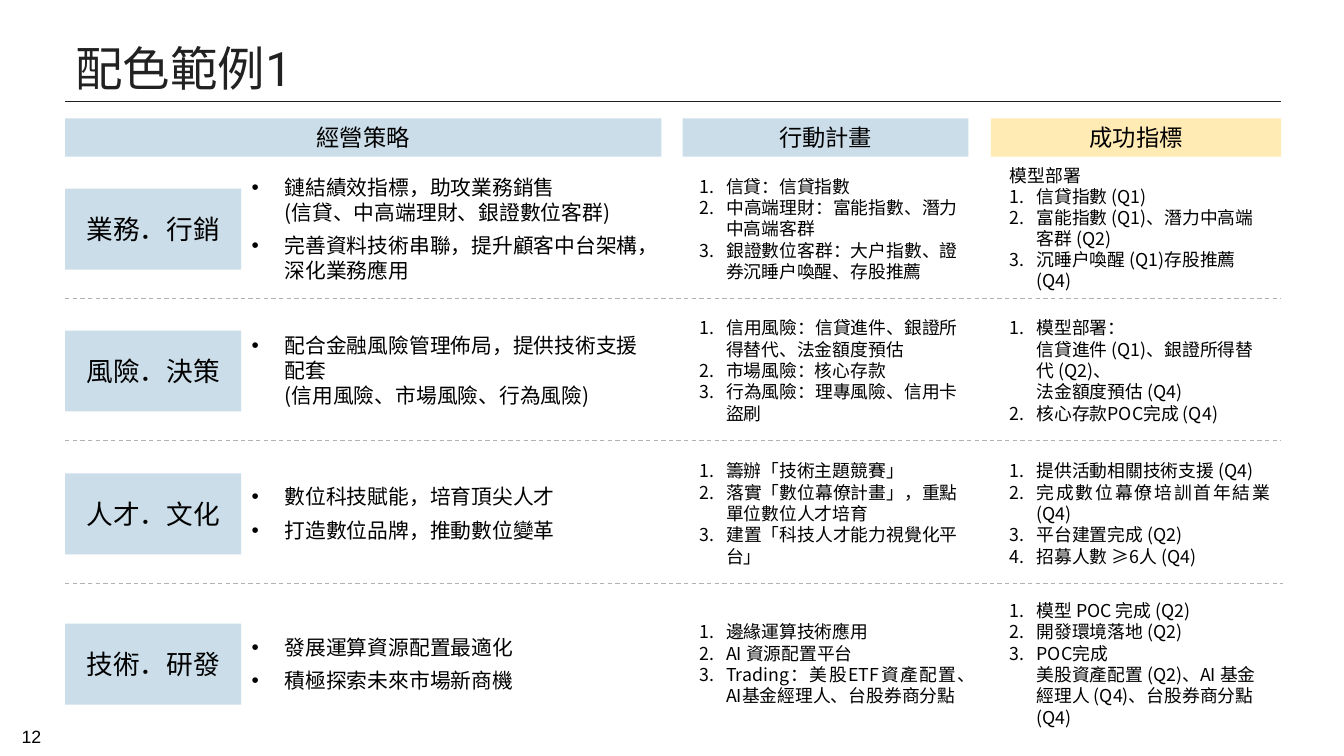
from copy import deepcopy

from lxml import etree
from pptx import Presentation
from pptx.dml.color import RGBColor
from pptx.enum.dml import MSO_LINE
from pptx.enum.shapes import MSO_CONNECTOR, MSO_SHAPE
from pptx.enum.text import MSO_ANCHOR, PP_ALIGN
from pptx.oxml.ns import qn
from pptx.util import Emu, Pt

LEFT, CENTER, JUSTIFY = PP_ALIGN.LEFT, PP_ALIGN.CENTER, PP_ALIGN.JUSTIFY
MIDDLE, BOTTOM = MSO_ANCHOR.MIDDLE, MSO_ANCHOR.BOTTOM
RECT, STRAIGHT, DASH = MSO_SHAPE.RECTANGLE, MSO_CONNECTOR.STRAIGHT, MSO_LINE.DASH

PX = 9144
BLUE, YELLOW, GREY, BLACK, INK = "CBDDE9", "FFEBB3", "B2B2B2", "000000", "212121"
CJK = "Noto Sans CJK TC"
PAGE = "12"
TITLE = "配色範例1"
HEADERS = [
    ("經營策略", 61, 559, BLUE),
    ("行動計畫", 640, 268, BLUE),
    ("成功指標", 929, 272, YELLOW),
]
ROWS = [
    {
        "topic": "業務．行銷", "top": 177,
        "strategies": ["鏈結績效指標，助攻業務銷售\n(信貸、中高端理財、銀證數位客群)",
                       "完善資料技術串聯，提升顧客中台架構，深化業務應用"],
        "actions": ["信貸：信貸指數", "中高端理財：富能指數、潛力中高端客群",
                    "銀證數位客群：大戶指數、證券沉睡戶喚醒、存股推薦"],
        "lead": ["模型部署"],
        "metrics": ["信貸指數 (Q1)", "富能指數 (Q1)、潛力中高端客群 (Q2)",
                    "沉睡戶喚醒 (Q1)存股推薦 (Q4)"],
        "metric_format": {"line_spacing": 0.98},
    },
    {
        "topic": "風險．決策", "top": 310,
        "strategies": ["配合金融風險管理佈局，提供技術支援配套\n(信用風險、市場風險、行為風險)"],
        "actions": ["信用風險：信貸進件、銀證所得替代、法金額度預估",
                    "市場風險：核心存款", "行為風險：理專風險、信用卡盜刷"],
        "metrics": ["模型部署：\n信貸進件 (Q1)、銀證所得替代 (Q2)、\n法金額度預估 (Q4)",
                    "核心存款POC完成 (Q4)"],
    },
    {
        "topic": "人才．文化", "top": 444,
        "strategies": ["數位科技賦能，培育頂尖人才", "打造數位品牌，推動數位變革"],
        "actions": ["籌辦「技術主題競賽」", "落實「數位幕僚計畫」，重點單位數位人才培育",
                    "建置「科技人才能力視覺化平台」"],
        "metrics": ["提供活動相關技術支援 (Q4)", "完成數位幕僚培訓首年結業 (Q4)",
                    "平台建置完成 (Q2)", "招募人數 ≥6人 (Q4)"],
        "metric_format": {"alignment": JUSTIFY},
    },
    {
        "topic": "技術．研發", "top": 585,
        "strategies": ["發展運算資源配置最適化", "積極探索未來市場新商機"],
        "actions": ["邊緣運算技術應用", "AI 資源配置平台",
                    "Trading：美股ETF資產配置、AI基金經理人、台股券商分點"],
        "metrics": ["模型 POC 完成 (Q2)", "開發環境落地 (Q2)",
                    "POC完成\n美股資產配置 (Q2)、AI 基金經理人 (Q4)、台股券商分點 (Q4)"],
    },
]
DIVIDERS = [(280, 1201), (413, 1201), (547, 1203)]
BULLET = ("buChar", {"char": "•"}, 31)
NUMBER = ("buAutoNum", {"type": "arabicPeriod"}, 25)


def rgb(color):
    return RGBColor.from_string(color)


def apply(target, values):
    for key, value in values.items():
        setattr(target, key, value)


def mark(paragraph, marker):
    tag, attributes, indent = marker
    props = paragraph._p.get_or_add_pPr()
    props.set("marL", str(indent * PX))
    props.set("indent", str(-indent * PX))
    font = {"typeface": "Arial"} if tag == "buChar" else {"typeface": "+mj-lt"}
    etree.SubElement(props, qn("a:buFont"), font)
    etree.SubElement(props, qn(f"a:{tag}"), attributes)


def write(frame, items, size, anchor=MIDDLE, marker=None, color=BLACK, latin=CJK,
          gap=0, lead=(), **paragraph_format):
    apply(frame, {"word_wrap": True, "vertical_anchor": anchor})
    for index, item in enumerate([*lead, *items]):
        paragraph = frame.add_paragraph() if index else frame.paragraphs[0]
        paragraph.text = item
        if marker and index >= len(lead):
            mark(paragraph, marker)
        apply(paragraph, {"alignment": LEFT, **paragraph_format})
        if index and gap:
            paragraph.space_before = Pt(gap)
        for run in paragraph.runs:
            apply(run.font, {"size": Pt(size), "name": latin})
            run.font.color.rgb = rgb(color)
            etree.SubElement(run._r.get_or_add_rPr(), qn("a:ea"), {"typeface": CJK})
        for line_break in paragraph._p.findall(qn("a:br")):
            line_break.append(deepcopy(paragraph.runs[0]._r.rPr))


def add_text(slide, box, items, size, **text_format):
    area = slide.shapes.add_textbox(*[Emu(n * PX) for n in box])
    write(area.text_frame, items, size, **text_format)


def add_block(slide, box, label, size, fill):
    block = slide.shapes.add_shape(RECT, *[Emu(n * PX) for n in box])
    block.shadow.inherit = False
    block.fill.solid()
    block.fill.fore_color.rgb = rgb(fill)
    block.line.fill.background()
    write(block.text_frame, [label], size, alignment=CENTER)


def add_rule(slide, y, right, color, dash=None):
    ends = [Emu(n * PX) for n in (61, y, right, y)]
    rule = slide.shapes.add_connector(STRAIGHT, *ends)
    apply(rule.line, {"width": Pt(0.75), "dash_style": dash})
    rule.line.color.rgb = rgb(color)
    etree.SubElement(rule._element.spPr, qn("a:effectLst"))


def main():
    """Build the strategy, action plan and success metric overview."""
    deck = Presentation()
    apply(deck, {"slide_width": Emu(1260 * PX), "slide_height": Emu(709 * PX)})
    slide = deck.slides.add_slide(deck.slide_layouts[6])

    add_text(slide, (2, 682, 55, 24), [PAGE], 12, anchor=BOTTOM, latin="Arial",
             alignment=CENTER, line_spacing=0.83)
    add_text(slide, (61, 31, 1140, 64), [TITLE], 32, color=INK, latin="Roboto")
    add_rule(slide, 95, 1201, INK)
    for label, left, width, fill in HEADERS:
        add_block(slide, (left, 111, width, 36), label, 15.7, fill)
    for y, right in DIVIDERS:
        add_rule(slide, y, right, GREY, DASH)

    for row in ROWS:
        top = row["top"]
        add_block(slide, (61, top, 165, 76), row["topic"], 18, BLUE)
        add_text(slide, (226, top - 16, 390, 107), row["strategies"], 14,
                 marker=BULLET, gap=5.9)
        add_text(slide, (646, top - 17, 262, 109), row["actions"], 12,
                 marker=NUMBER, alignment=JUSTIFY)
        add_text(slide, (937, top - 17, 264, 109), row["metrics"], 12,
                 marker=NUMBER, lead=row.get("lead", ()), **row.get("metric_format", {}))

    deck.save("out.pptx")


if __name__ == "__main__":
    main()
